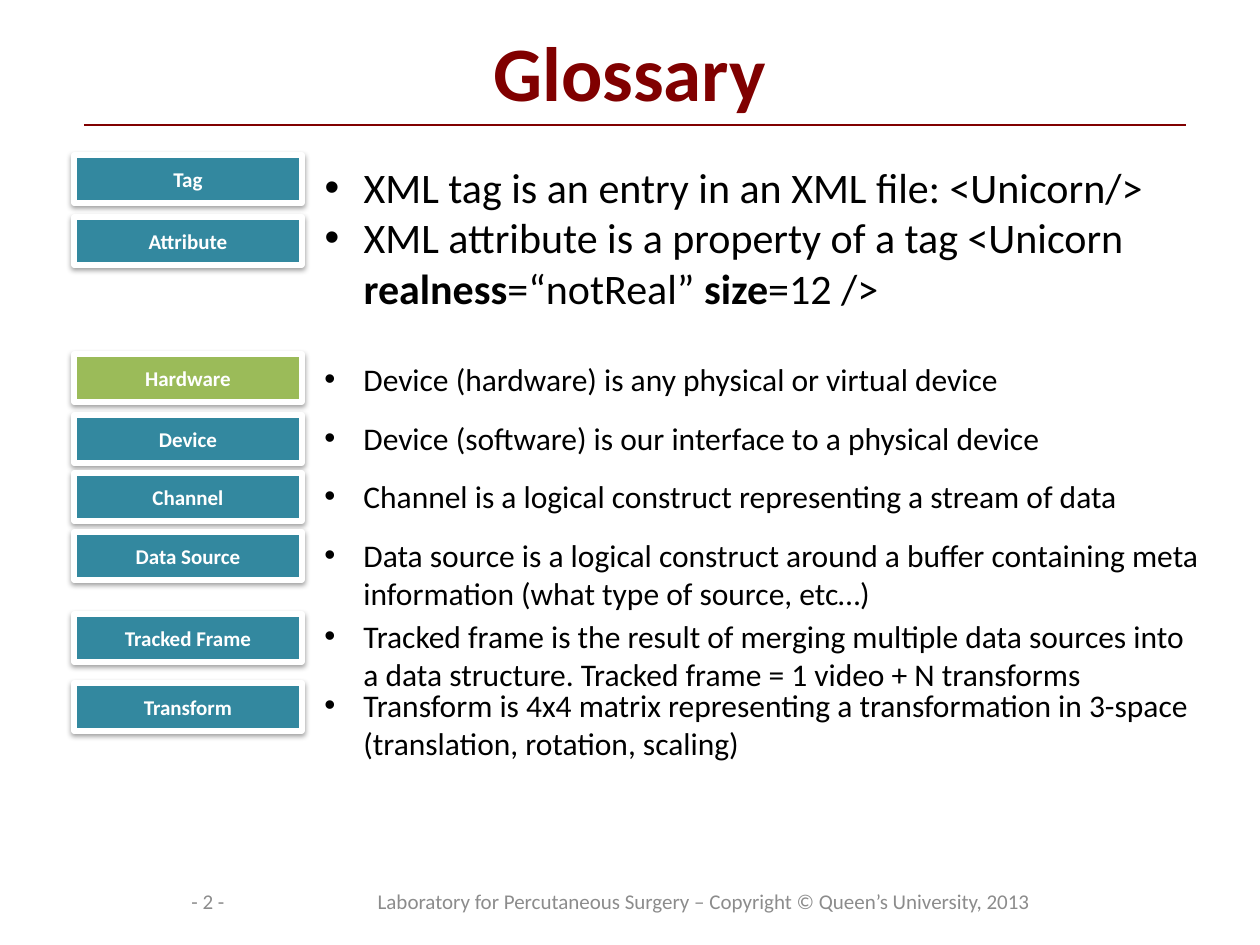
"""Build the glossary slide: coloured term tags beside bulleted definitions."""
import dataclasses

import lxml.etree
import pptx
import pptx.dml.color
import pptx.enum.shapes
import pptx.enum.text
import pptx.oxml.ns
import pptx.util

EMU_PER_PX = 914400 / 126
ALIGN = pptx.enum.text.PP_ALIGN
ANCHOR = pptx.enum.text.MSO_ANCHOR


@dataclasses.dataclass(frozen=True)
class Theme:
    font: str = "Calibri"
    maroon: str = "800000"
    black: str = "000000"
    white: str = "FFFFFF"
    grey: str = "8C8C8C"
    teal: str = "33889F"
    green: str = "9BBB59"
    title_size: int = 44
    lead_size: int = 24
    body_size: int = 18
    small_size: int = 12


THEME = Theme()
TAG_LEFT, TAG_WIDTH, TAG_HEIGHT = 74, 228, 48
TEXT_LEFT, TEXT_WIDTH, INDENT = 312, 903, 39

TAGS = [
    ("Tag", 155, THEME.teal),
    ("Attribute", 217, THEME.teal),
    ("Hardware", 354, THEME.green),
    ("Device", 415, THEME.teal),
    ("Channel", 473, THEME.teal),
    ("Data Source", 532, THEME.teal),
    ("Tracked Frame", 614, THEME.teal),
    ("Transform", 683, THEME.teal),
]
XML_TERMS = [
    [("XML tag is an entry in an XML file: <Unicorn/>", False)],
    [
        ("XML attribute is a property of a tag <Unicorn ", False),
        ("realness", True),
        ("=“notReal” ", False),
        ("size", True),
        ("=12 />", False),
    ],
]
DEFINITIONS = [
    (354, 50, "Device (hardware) is any physical or virtual device"),
    (413, 50, "Device (software) is our interface to a physical device"),
    (471, 50, "Channel is a logical construct representing a stream of data"),
    (530, 89, "Data source is a logical construct around a buffer containing "
              "meta information (what type of source, etc…)"),
    (611, 89, "Tracked frame is the result of merging multiple data sources into "
              "a data structure. Tracked frame = 1 video + N transforms"),
    (680, 89, "Transform is 4x4 matrix representing a transformation in 3-space "
              "(translation, rotation, scaling)"),
]
FOOTERS = [
    (144, 128, "- 2 -"),
    (292, 824, "Laboratory for Percutaneous Surgery – Copyright © Queen’s University, 2013"),
]


def px(length):
    return pptx.util.Emu(round(length * EMU_PER_PX))


def rgb(value):
    return pptx.dml.color.RGBColor.from_string(value)


def place(shape, left, top, width, height):
    shape.left, shape.top = px(left), px(top)
    shape.width, shape.height = px(width), px(height)


def prepare_frame(shape, anchor):
    frame = shape.text_frame
    frame.word_wrap = True
    frame.auto_size = pptx.enum.text.MSO_AUTO_SIZE.NONE
    frame.vertical_anchor = anchor
    return frame


def add_span(para, text, size, color, bold=False):
    span = para.add_run()
    span.text = text
    span.font.name = THEME.font
    span.font.size = pptx.util.Pt(size)
    span.font.bold = bold
    span.font.color.rgb = rgb(color)


def write_centred(shape, text, size, color, bold=False):
    para = prepare_frame(shape, ANCHOR.MIDDLE).paragraphs[0]
    para.alignment = ALIGN.CENTER
    add_span(para, text, size, color, bold)


def write_bullets(shape, items, size):
    frame = prepare_frame(shape, ANCHOR.TOP)
    for index, spans in enumerate(items):
        para = frame.add_paragraph() if index else frame.paragraphs[0]
        para.alignment = ALIGN.LEFT
        para.space_before = pptx.util.Pt(0)
        properties = para._p.get_or_add_pPr()
        properties.set("marL", str(px(INDENT)))
        properties.set("indent", str(-px(INDENT)))
        for name, key, value in (("a:buFont", "typeface", "Arial"), ("a:buChar", "char", "•")):
            lxml.etree.SubElement(properties, pptx.oxml.ns.qn(name)).set(key, value)
        for text, bold in spans:
            add_span(para, text, size, THEME.black, bold)


def add_shadow(shape):
    shape.shadow.inherit = False
    qn = pptx.oxml.ns.qn
    effects = shape._element.spPr.find(qn("a:effectLst"))
    shadow = lxml.etree.SubElement(
        effects, qn("a:outerShdw"),
        blurRad="40000", dist="20000", dir="5400000", rotWithShape="0")
    color = lxml.etree.SubElement(shadow, qn("a:srgbClr"), val=THEME.black)
    lxml.etree.SubElement(color, qn("a:alpha"), val="38000")


def add_tag(page, text, top, fill):
    tag = page.shapes.add_shape(
        pptx.enum.shapes.MSO_SHAPE.RECTANGLE,
        px(TAG_LEFT), px(top), px(TAG_WIDTH), px(TAG_HEIGHT))
    tag.fill.solid()
    tag.fill.fore_color.rgb = rgb(fill)
    tag.line.color.rgb = rgb(THEME.white)
    tag.line.width = pptx.util.Pt(3)
    add_shadow(tag)
    write_centred(tag, text, THEME.small_size, THEME.white, True)


def add_box(page, left, top, width, height):
    return page.shapes.add_textbox(px(left), px(top), px(width), px(height))


def add_rule(page):
    rule = page.shapes.add_connector(
        pptx.enum.shapes.MSO_CONNECTOR.STRAIGHT, px(84), px(125), px(1186), px(125))
    rule.line.color.rgb = rgb(THEME.maroon)
    rule.line.width = pptx.util.Pt(0.75)
    lxml.etree.SubElement(rule._element.spPr, pptx.oxml.ns.qn("a:effectLst"))


def main():
    deck = pptx.Presentation()
    deck.slide_width, deck.slide_height = px(1260), px(945)
    page = deck.slides.add_slide(deck.slide_layouts[1])

    add_rule(page)
    title = page.shapes.title
    place(title, 0, 0, 1260, 142)
    write_centred(title, "Glossary", THEME.title_size, THEME.maroon, True)
    for left, width, text in FOOTERS:
        write_centred(add_box(page, left, 876, width, 50), text, THEME.small_size, THEME.grey)

    for text, top, fill in TAGS:
        add_tag(page, text, top, fill)

    body = page.placeholders[1]
    place(body, TEXT_LEFT, 155, TEXT_WIDTH, 165)
    write_bullets(body, XML_TERMS, THEME.lead_size)
    for top, height, text in DEFINITIONS:
        box = add_box(page, TEXT_LEFT, top, TEXT_WIDTH, height)
        write_bullets(box, [[(text, False)]], THEME.body_size)

    deck.save("out.pptx")


if __name__ == "__main__":
    main()
